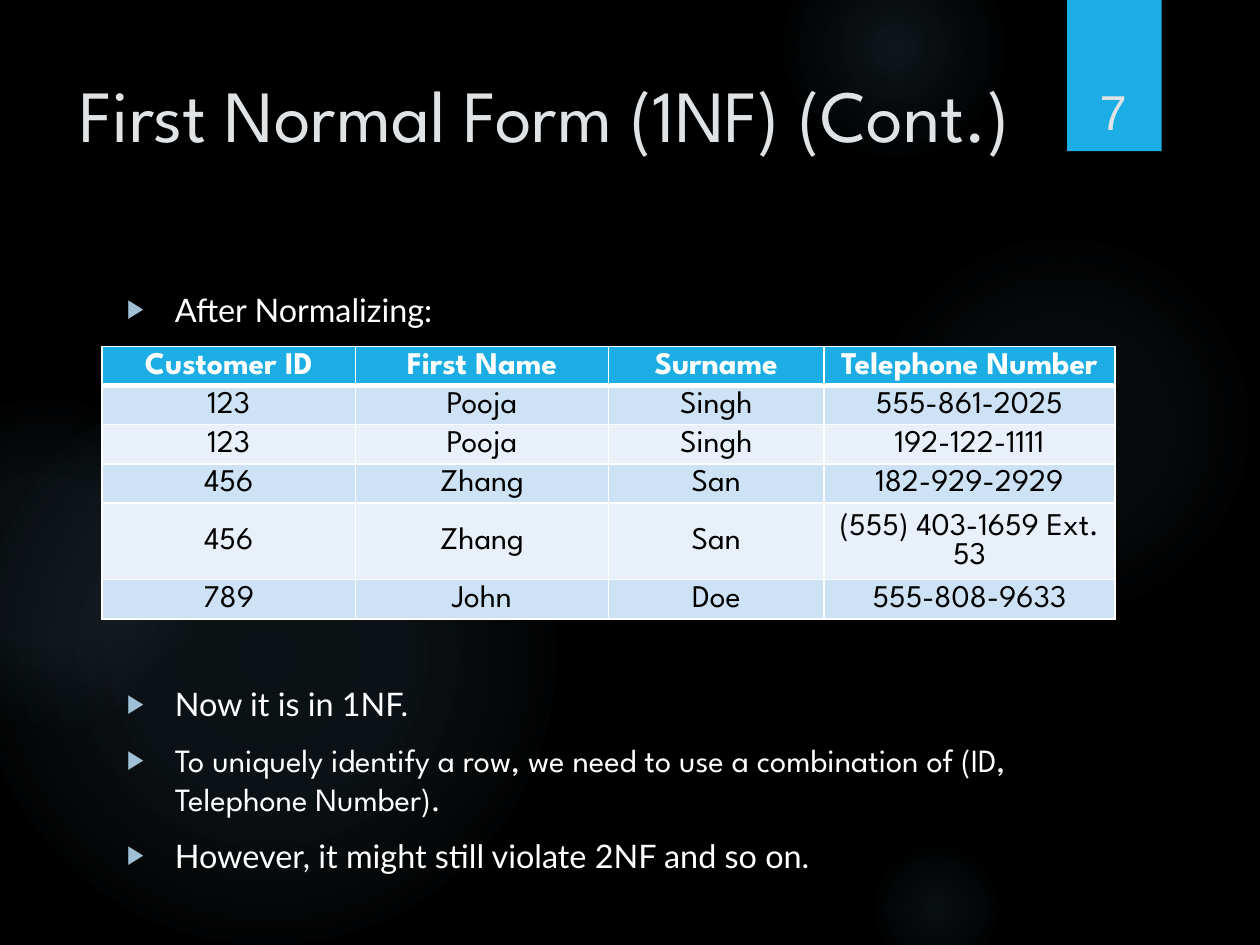
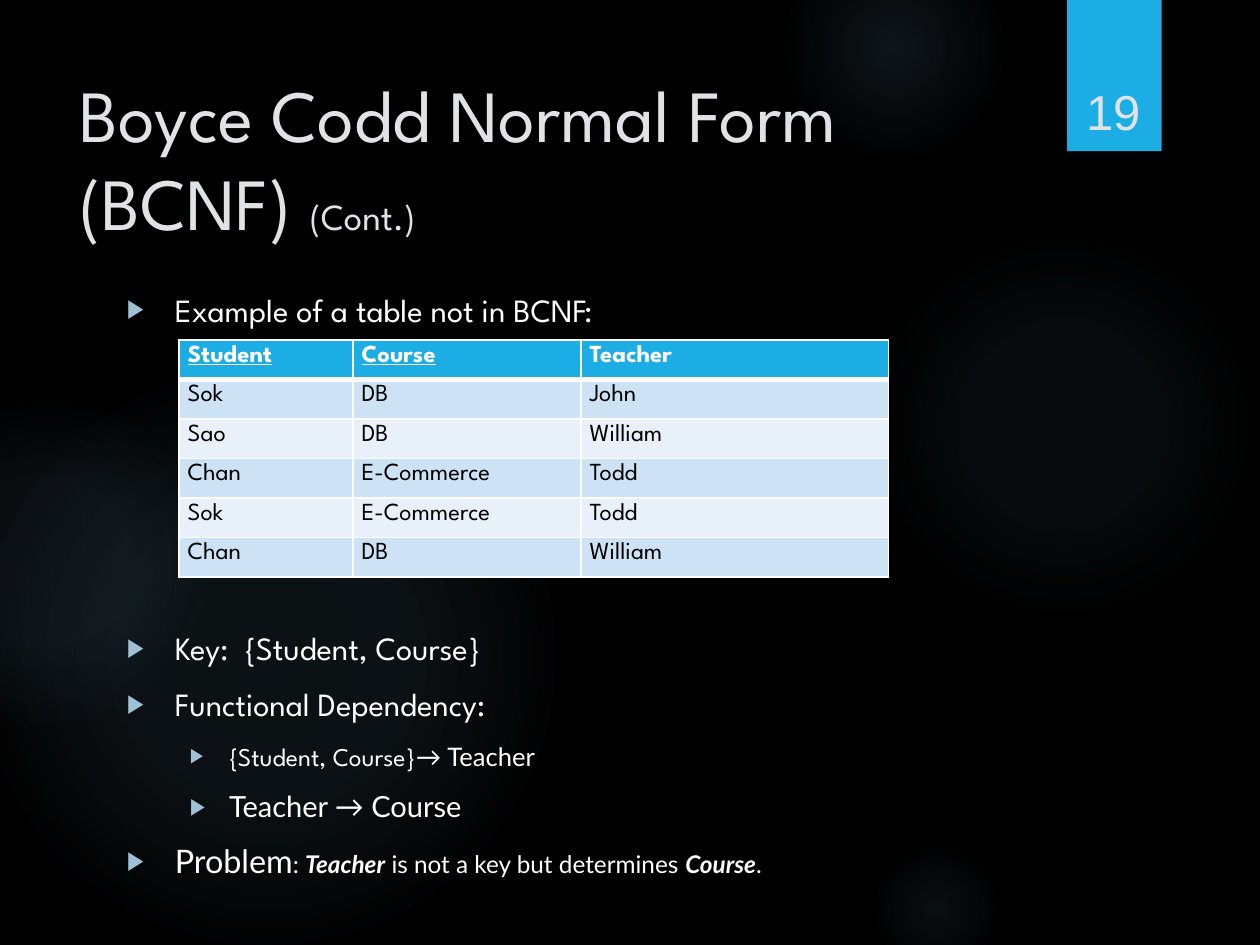
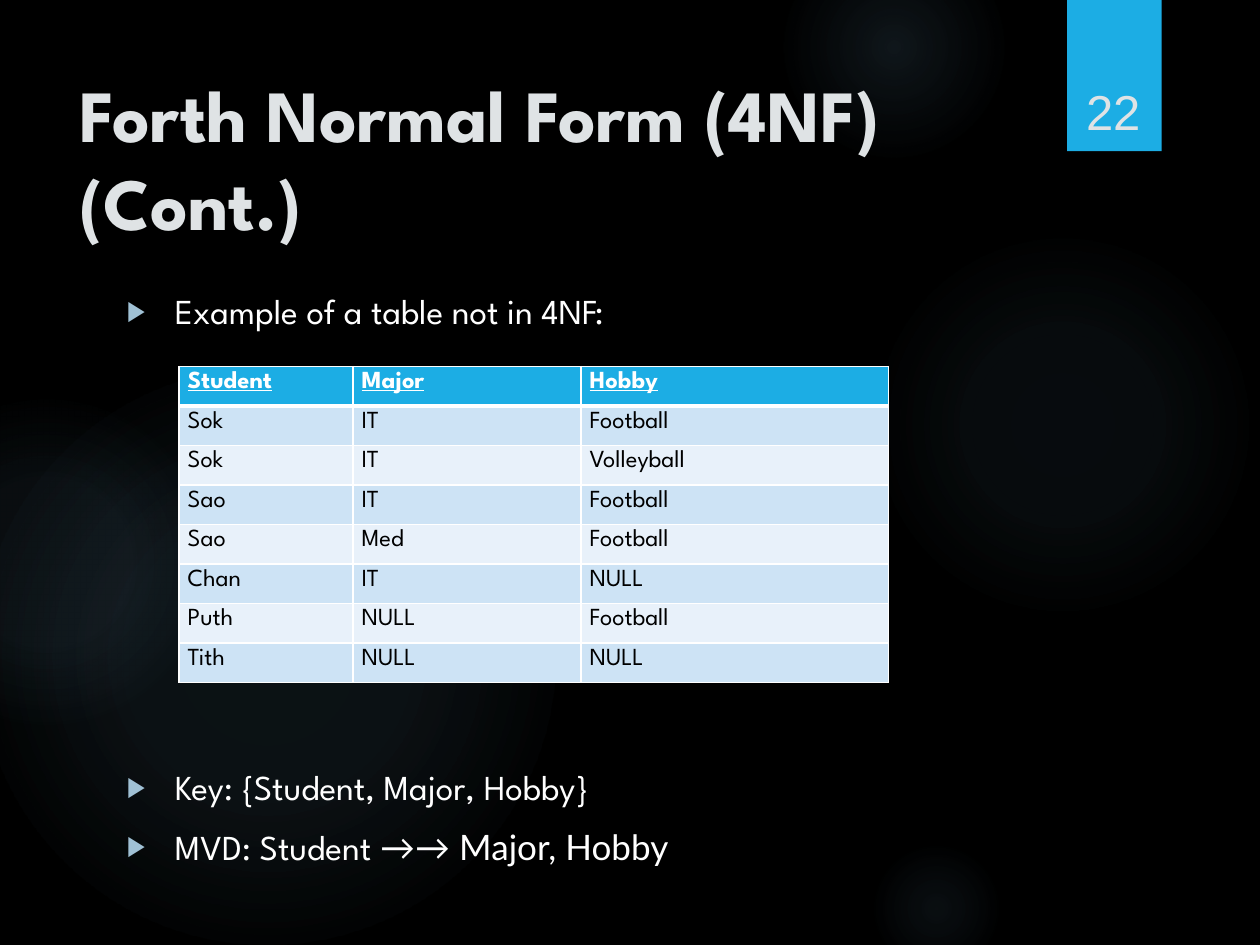
from lxml import etree
from pptx import Presentation
from pptx import util as u
from pptx.dml.color import RGBColor
from pptx.enum import shapes, text
from pptx.oxml.ns import qn

# The slide is a grid of 10 columns by 7.5 rows.
COLUMNS, ROWS = 10, 7.5
CELL = u.Inches(1)

BLACK, WHITE = "000000", "FFFFFF"
ACCENT, PALE, BULLET, GLOW = "1CADE4", "DFE3E5", "A0C1D5", "70A1C0"
STRIPES = ("CDE3F5", "E8F1FA")
SPARTAN, LATO, ARIAL = "League Spartan", "Lato", "Arial"
LEADING, PARA_GAP = 1.2, 10

# Left, top, diameter, then (position %, opacity %) of each gradient stop
GLOWS = [
    (6.89, 1.83, 3.08, [(0, 7), (36, 6), (69, 0)]),
    (6.22, -0.5, 1.75, [(0, 14), (36, 7), (73, 0)]),
    (6.89, 6.67, 1.08, [(0, 9), (36, 5), (66, 0)]),
    (-0.17, 2.92, 4.58, [(0, 11), (36, 10), (75, 0)]),
    (-0.92, 3.17, 2.58, [(0, 8), (36, 8), (72, 0)]),
]
LEVELS = [(0.38, -0.38), (0.81, -0.31)]  # left margin and first-line indent

CENTRED_CELLS = {
    "size": 18, "align": text.PP_ALIGN.CENTER, "anchor": text.MSO_ANCHOR.MIDDLE,
    "insets": (0.01, 0.01, 0.01, 0),
}
PLAIN_CELLS = {
    "size": 14, "align": text.PP_ALIGN.LEFT, "anchor": text.MSO_ANCHOR.TOP,
    "insets": (0.07, 0.04, 0.07, 0.04),
}
NARROW_COLUMNS = (1.38, 1.81, 2.44)


def color(value):
    return RGBColor.from_string(value)


def grid(*lengths):
    return [round(CELL * length) for length in lengths]


def add_xml(parent, tag, **attributes):
    return etree.SubElement(parent, qn(tag), {k: str(v) for k, v in attributes.items()})


def format_span(span, **formats):
    settings = {"name": SPARTAN, "size": 18, "color": WHITE, **formats}
    span.font.color.rgb = color(settings.pop("color"))
    settings["size"] = u.Pt(settings["size"])
    for name, value in settings.items():
        setattr(span.font, name, value)


def add_spans(para, spans, **formats):
    """Add (text, formats) spans; a span's own formats win over the shared ones."""
    for words, own in spans:
        span = para.add_run()
        span.text = words
        format_span(span, **{**formats, **own})


def add_preset(page, preset, place):
    shape = page.shapes.add_shape(preset, *grid(*place))
    shape.shadow.inherit = False
    shape.line.fill.background()
    return shape


def add_text_frame(page, place, anchor=text.MSO_ANCHOR.TOP):
    frame = page.shapes.add_textbox(*grid(*place)).text_frame
    frame.word_wrap = True
    frame.vertical_anchor = anchor
    return frame


def add_glow(page, left, top, diameter, stops):
    """Add a circle that fades out from its centre."""
    circle = add_preset(page, shapes.MSO_SHAPE.OVAL, (left, top, diameter, diameter))
    gradient = etree.Element(qn("a:gradFill"), rotWithShape="1")
    stop_list = add_xml(gradient, "a:gsLst")
    for position, opacity in stops:
        stop = add_xml(stop_list, "a:gs", pos=position * 1000)
        tint = add_xml(stop, "a:srgbClr", val=GLOW)
        add_xml(tint, "a:alpha", val=opacity * 1000)
    radial = add_xml(gradient, "a:path", path="circle")
    add_xml(radial, "a:fillToRect", l=50000, t=50000, r=50000, b=50000)
    circle.element.spPr.find(qn("a:prstGeom")).addnext(gradient)


def add_page(deck, number, title, **title_formats):
    """Add a page with the shared background, number tab and title."""
    page = deck.slides.add_slide(deck.slide_layouts[6])
    page.background.fill.solid()
    page.background.fill.fore_color.rgb = color(BLACK)
    for glow in GLOWS:
        add_glow(page, *glow)
    tab = add_preset(page, shapes.MSO_SHAPE.RECTANGLE, (8.47, 0, 0.75, 1.2))
    tab.fill.solid()
    tab.fill.fore_color.rgb = color(ACCENT)

    heading = add_text_frame(page, (0.53, 0.5, 7.72, 1.53)).paragraphs[0]
    heading.line_spacing = u.Pt(42 * LEADING)
    add_spans(heading, title, size=42, color=PALE, **title_formats)

    label = add_text_frame(page, (8.49, 0.32, 0.69, 0.84), text.MSO_ANCHOR.BOTTOM).paragraphs[0]
    label.alignment = text.PP_ALIGN.CENTER
    add_spans(label, [(str(number), {})], name=ARIAL, size=28, color=PALE)
    return page


def add_bullet(para, level):
    margin, indent = grid(*LEVELS[level])
    properties = para._p.get_or_add_pPr()
    properties.set("marL", str(margin))
    properties.set("indent", str(indent))
    add_xml(add_xml(properties, "a:buClr"), "a:srgbClr", val=BULLET)
    add_xml(properties, "a:buSzPct", val=80000)
    add_xml(properties, "a:buFont", typeface=ARIAL)
    add_xml(properties, "a:buChar", char="▶")


def add_body(page, size, lines_for_table, items):
    """Add bullets as (level, spans), with room for the table after the first."""
    frame = add_text_frame(page, (0.91, 2.25, 7.34, 4.59))
    for index, (level, spans) in enumerate(items):
        para = frame.add_paragraph() if index else frame.paragraphs[0]
        tallest = max(own.get("size", size) for _, own in spans)
        room = lines_for_table * (size * LEADING + PARA_GAP) if index == 1 else 0
        para.space_before = u.Pt(PARA_GAP + room)
        para.line_spacing = u.Pt(tallest * LEADING)
        add_bullet(para, level)
        add_spans(para, spans, size=size)


def add_borders(cell, bottom):
    properties = cell._tc.get_or_add_tcPr()
    sides = {"a:lnL": 1, "a:lnR": 1, "a:lnT": 1, "a:lnB": bottom}
    for index, (side, width) in enumerate(sides.items()):
        line = etree.Element(qn(side), w=str(u.Pt(width)))
        add_xml(add_xml(line, "a:solidFill"), "a:srgbClr", val=WHITE)
        properties.insert(index, line)


def fill_cell(cell, words, row, look, underline):
    header = row == 0
    cell.fill.solid()
    cell.fill.fore_color.rgb = color(ACCENT if header else STRIPES[(row - 1) % 2])
    cell.vertical_anchor = look["anchor"]
    for side, inset in zip(("left", "top", "right", "bottom"), grid(*look["insets"])):
        setattr(cell, f"margin_{side}", inset)
    para = cell.text_frame.paragraphs[0]
    para.alignment = look["align"]
    add_spans(para, [(words, {})], size=look["size"], bold=header,
              underline=header and underline, color=WHITE if header else BLACK)
    add_borders(cell, bottom=3 if header else 1)


def add_data_table(page, left, top, widths, heights, rows, look, keys=()):
    """Add a striped table; headers listed in keys are underlined."""
    place = grid(left, top, sum(widths), sum(heights))
    table = page.shapes.add_table(len(rows), len(widths), *place).table
    for column, width in zip(table.columns, grid(*widths)):
        column.width = width
    for line, height in zip(table.rows, grid(*heights)):
        line.height = height
    for row, values in enumerate(rows):
        for column, words in enumerate(values):
            fill_cell(table.cell(row, column), words, row, look, words in keys)


def build_first_normal_form(deck):
    page = add_page(deck, 7, [("First Normal Form (1NF) (Cont.)", {})])
    lato = {"name": LATO}
    add_body(page, 18.5, 6, [
        (0, [("After Normalizing:", lato)]),
        (0, [("Now it is in 1NF.", lato)]),
        (0, [("To uniquely identify a row, we need to use a combination of "
              "(ID, Telephone Number).", {})]),
        (0, [("However, it might still violate 2NF and so on.", lato)]),
    ])
    customers = [
        ("Customer ID", "First Name", "Surname", "Telephone Number"),
        ("123", "Pooja", "Singh", "555-861-2025"),
        ("123", "Pooja", "Singh", "192-122-1111"),
        ("456", "Zhang", "San", "182-929-2929"),
        ("456", "Zhang", "San", "(555) 403-1659 Ext. 53"),
        ("789", "John", "Doe", "555-808-9633"),
    ]
    heights = [0.24] * 4 + [0.48, 0.24]
    add_data_table(page, 0.81, 2.75, (2.01, 2.01, 1.71, 2.31), heights,
                   customers, CENTRED_CELLS)


def build_boyce_codd(deck):
    page = add_page(deck, 19, [("Boyce Codd Normal Form (BCNF) ", {}),
                               ("(Cont.)", {"size": 21})])
    small = {"name": LATO, "size": 13.9}
    strong = {**small, "bold": True, "italic": True}
    add_body(page, 18.5, 5, [
        (0, [("Example of a table not in BCNF:", {})]),
        (0, [("Key:  {Student, Course}", {})]),
        (0, [("Functional Dependency:", {})]),
        (1, [("{Student, Course}", {"size": 14.6}),
             ("→ Teacher", {"name": LATO, "size": 14.6})]),
        (1, [("Teacher → Course", {"name": LATO, "size": 16.6})]),
        (0, [("Problem", {"name": LATO}), (": ", small), ("Teacher", strong),
             (" is not a key but determines ", small), ("Course", strong), (".", small)]),
    ])
    lessons = [
        ("Student", "Course", "Teacher"),
        ("Sok", "DB", "John"),
        ("Sao", "DB", "William"),
        ("Chan", "E-Commerce", "Todd"),
        ("Sok", "E-Commerce", "Todd"),
        ("Chan", "DB", "William"),
    ]
    add_data_table(page, 1.42, 2.7, NARROW_COLUMNS, [0.31] * len(lessons),
                   lessons, PLAIN_CELLS, keys=("Student", "Course"))


def build_fourth_normal_form(deck):
    page = add_page(deck, 22, [("Forth Normal Form (4NF) (Cont.)", {})], bold=True)
    add_body(page, 20, 7, [
        (0, [("Example of a table not in 4NF:", {})]),
        (0, [("Key: {Student, Major, Hobby}", {})]),
        (0, [("MVD: Student ", {}), ("→→ Major, Hobby", {"name": LATO})]),
    ])
    hobbies = [
        ("Student", "Major", "Hobby"),
        ("Sok", "IT", "Football"),
        ("Sok", "IT", "Volleyball"),
        ("Sao", "IT", "Football"),
        ("Sao", "Med", "Football"),
        ("Chan", "IT", "NULL"),
        ("Puth", "NULL", "Football"),
        ("Tith", "NULL", "NULL"),
    ]
    add_data_table(page, 1.42, 2.91, NARROW_COLUMNS, [0.31] * len(hobbies),
                   hobbies, PLAIN_CELLS, keys=hobbies[0])


def main():
    deck = Presentation()
    deck.slide_width, deck.slide_height = grid(COLUMNS, ROWS)
    build_first_normal_form(deck)
    build_boyce_codd(deck)
    build_fourth_normal_form(deck)
    deck.save("out.pptx")


if __name__ == "__main__":
    main()
